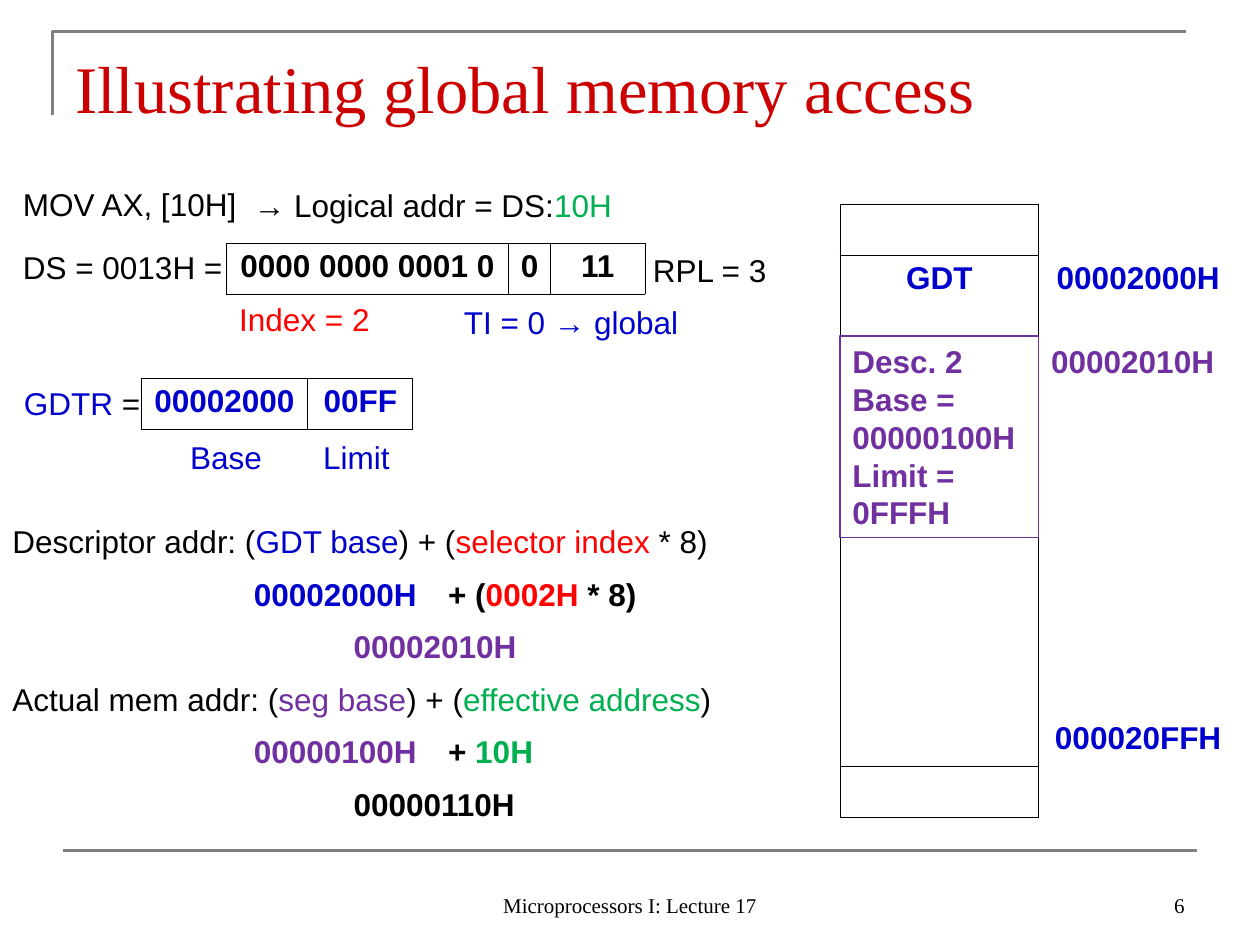
from pptx import Presentation
from pptx.dml.color import RGBColor as Color
from pptx.enum.shapes import MSO_CONNECTOR as Conn, MSO_SHAPE as Geo
from pptx.enum.text import MSO_ANCHOR as Anchor, PP_ALIGN as Align
from pptx.oxml.ns import qn
from pptx.util import Pt
from lxml.etree import SubElement as Sub, Element

BLACK = Color(0x00, 0x00, 0x00)
GREY = Color(0x80, 0x80, 0x80)
CRIMSON = Color(0xCC, 0x00, 0x00)
RED = Color(0xFF, 0x00, 0x00)
BLUE = Color(0x00, 0x00, 0xCC)
GREEN = Color(0x00, 0xB0, 0x50)
PURPLE = Color(0x70, 0x30, 0xA0)

BODY = {"name": "Arial", "size": Pt(18), "bold": False}
BOLD = {**BODY, "bold": True}
SERIF = {"name": "Times New Roman", "size": Pt(12), "bold": False}
HEAD = {**SERIF, "size": Pt(38)}
LINE = 29.2  # height of a text line box or table row


def fill_text(frame, paras, font=BODY, align=Align.LEFT):
    """Each paragraph is a list of (text, colour) runs."""
    for i, runs in enumerate(paras):
        para = frame.add_paragraph() if i else frame.paragraphs[0]
        para.alignment = align
        for text, color in runs:
            run = para.add_run()
            run.text = text
            for key, value in font.items():
                setattr(run.font, key, value)
            run.font.color.rgb = color


def label(slide, box, runs, font=BODY, align=Align.LEFT, anchor=Anchor.TOP):
    shape = slide.shapes.add_textbox(*map(Pt, box))
    frame = shape.text_frame
    for key, value in {"word_wrap": True, "vertical_anchor": anchor}.items():
        setattr(frame, key, value)
    fill_text(frame, [runs], font, align)


def border(cell, sides):
    """Draw the named sides in black and hide the others."""
    cell.fill.background()
    props = cell._tc.get_or_add_tcPr()
    for i, side in enumerate("LRTB"):
        edge = Element(qn("a:ln" + side), w=str(Pt(0.45)))
        if side in sides:
            Sub(Sub(edge, qn("a:solidFill")), qn("a:srgbClr"), val=str(BLACK))
        else:
            Sub(edge, qn("a:noFill"))
        props.insert(i, edge)


def grid(slide, left, top, cols, rows):
    width, height = sum(cols), LINE * rows
    table = slide.shapes.add_table(
        rows, len(cols), *map(Pt, (left, top, width, height))).table
    table.first_row = table.horz_banding = False
    for col, size in zip(table.columns, cols):
        col.width = Pt(size)
    for row in table.rows:
        row.height = Pt(LINE)
    return table


def register(slide, left, top, cols, texts, color):
    table = grid(slide, left, top, cols, 1)
    for cell, text in zip(table.iter_cells(), texts):
        border(cell, "LRTB")
        fill_text(cell.text_frame, [[(text, color)]], BOLD, Align.CENTER)


def heading(slide, left, top, width):
    # Corner rule
    build = slide.shapes.build_freeform(Pt(left), Pt(top + 48))
    build.add_line_segments(
        [(Pt(left), Pt(top)), (Pt(left + width), Pt(top))], close=False)
    rule = build.convert_to_shape()
    rule.shadow.inherit = False
    rule.fill.background()
    rule.line.color.rgb = GREY
    rule.line.width = Pt(1.5)
    # Title
    label(slide, (left + 6, top + 3.6, width, 56),
          [("Illustrating global memory access", CRIMSON)],
          HEAD, anchor=Anchor.MIDDLE)


def footer(slide, left, top, width):
    rule = slide.shapes.add_connector(
        Conn.STRAIGHT, *map(Pt, (left, top, left + width, top)))
    rule.line.color.rgb = GREY
    rule.line.width = Pt(1.5)
    Sub(rule._element.spPr, qn("a:effectLst"))
    for x, w, text, align in (
            (210, 228, "Microprocessors I: Lecture 17", Align.CENTER),
            (480, 168, "6", Align.RIGHT)):
        label(slide, (left + x, top + 6, w, 36), [(text, BLACK)],
              SERIF, align, Anchor.BOTTOM)


def selector(slide, left, top):
    # Instruction, register value and its fields
    for x, y, w, runs in (
            (0, 0, 144, [("MOV AX, [10H]", BLACK)]),
            (132, 0.6, 222, [("→ Logical addr = DS:", BLACK),
                             ("10H", GREEN)]),
            (0, 36, 132, [("DS = 0013H =", BLACK)]),
            (360, 37.5, 96, [("RPL = 3", BLACK)]),
            (252, 67, 162, [("TI = 0 → global", BLUE)]),
            (123.6, 65.5, 96, [("Index = 2", RED)])):
        label(slide, (left + x, top + y, w, LINE), runs)
    register(slide, left + 123.4, top + 36.4, (161, 24.4, 53.8),
             ("0000 0000 0001 0", "0", "11"), BLACK)


def gdtr(slide, left, top):
    for x, y, w, runs in (
            (0, 0, 87, [("GDTR ", BLUE), ("=", BLACK)]),
            (95, 31, 70, [("Base", BLUE)]),
            (171, 31, 70, [("Limit", BLUE)])):
        label(slide, (left + x, top + y, w, LINE), runs)
    register(slide, left + 73.9, top, (95.4, 60), ("00002000", "00FF"), BLUE)


def memory(slide, left, top):
    # Memory column with the table's address range beside it
    wide, rows = 113.6, 12
    table = grid(slide, left, top, (wide, wide), rows)
    for i in range(rows):
        sides = "LR"
        sides += "T" if i in (0, 1, rows - 1) else ""
        sides += "B" if i in (0, rows - 2, rows - 1) else ""
        border(table.cell(i, 0), sides)
        border(table.cell(i, 1), "L")
    for row, col, text in ((1, 0, "GDT"), (1, 1, "00002000H"),
                           (rows - 2, 1, "000020FFH")):
        fill_text(table.cell(row, col).text_frame, [[(text, BLUE)]],
                  BOLD, Align.CENTER)
    # Descriptor and its address
    y = top + 75.4
    label(slide, (left + wide, y, 111, LINE), [("00002010H", PURPLE)], BOLD)
    desc = slide.shapes.add_shape(
        Geo.RECTANGLE, *map(Pt, (left, y, wide, 115.2)))
    desc.shadow.inherit = False
    desc.fill.background()
    desc.line.color.rgb = PURPLE
    desc.line.width = Pt(0.75)
    desc.text_frame.vertical_anchor = Anchor.TOP
    lines = ("Desc. 2", "Base = 00000100H", "Limit =", "0FFFH")
    fill_text(desc.text_frame, [[(text, PURPLE)] for text in lines], BOLD)


def total(slide, left, top, rule, base, extra, result):
    """Address rule, its two terms and their sum on three lines."""
    step = 30
    for x, row, w, runs, font in (
            (0, 0, 432, rule, BODY), (138, 1, 111, base, BOLD),
            (249, 1, 147, extra, BOLD), (195, 2, 111, result, BOLD)):
        label(slide, (left + x, top + row * step, w, LINE), runs, font)


def main():
    deck = Presentation()
    deck.slide_width, deck.slide_height = Pt(720), Pt(540)
    slide = deck.slides.add_slide(deck.slide_layouts[6])
    heading(slide, 30, 18, 648)
    selector(slide, 6, 102.4)
    gdtr(slide, 6.6, 216)
    memory(slide, 480, 116.6)
    total(slide, 0, 295,
          [("Descriptor addr: (", BLACK), ("GDT base", BLUE),
           (") + (", BLACK), ("selector index ", RED), ("* 8)", BLACK)],
          [("00002000H", BLUE)],
          [("+ (", BLACK), ("0002H", RED), (" * 8)", BLACK)],
          [("00002010H", PURPLE)])
    total(slide, 0, 385,
          [("Actual mem addr: (", BLACK), ("seg base", PURPLE),
           (") + (", BLACK), ("effective address", GREEN), (")", BLACK)],
          [("00000100H", PURPLE)],
          [("+ ", BLACK), ("10H", GREEN)],
          [("00000110H", BLACK)])
    footer(slide, 36, 486, 648)
    deck.save("out.pptx")


if __name__ == "__main__":
    main()
